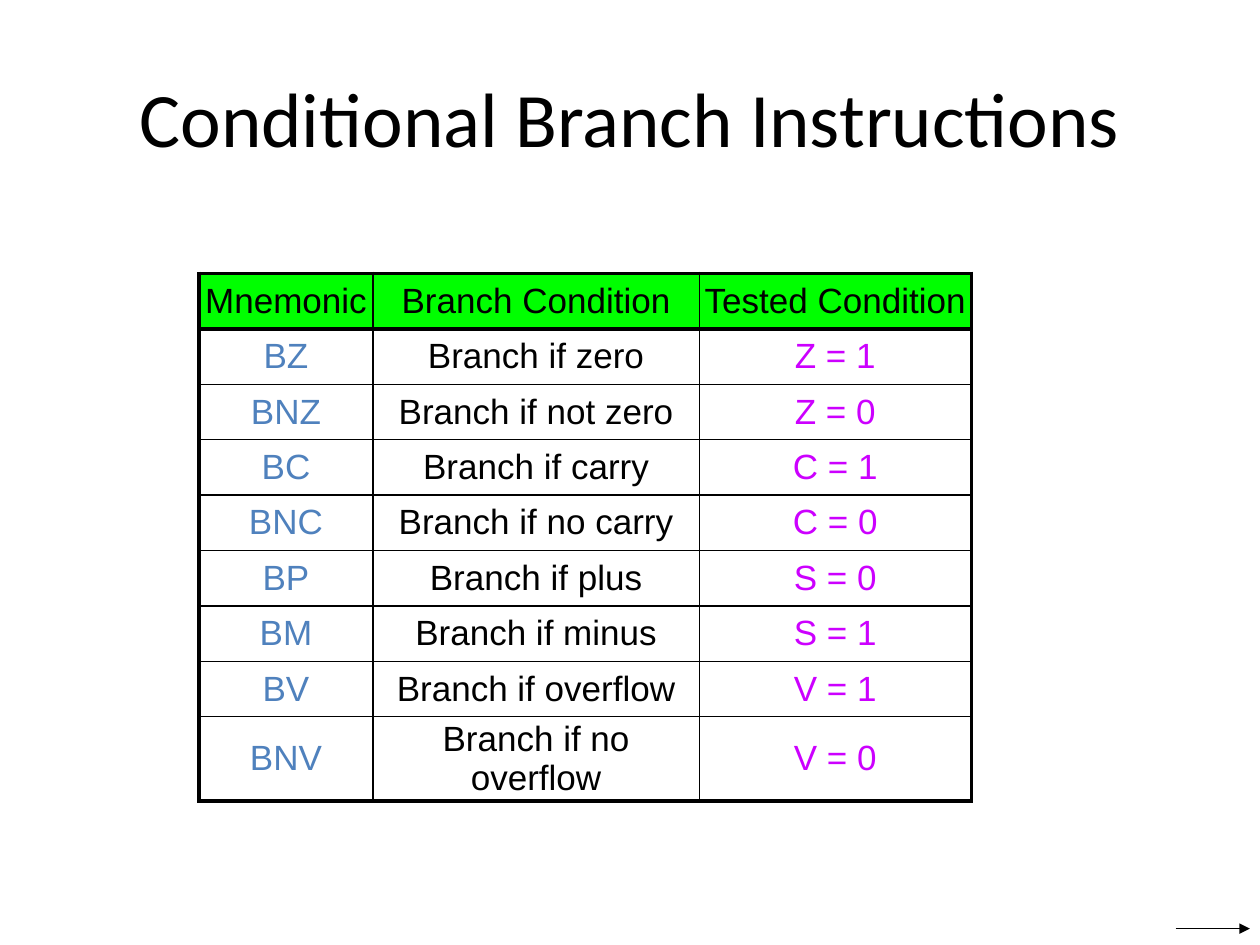
from lxml import etree
from pptx import Presentation
from pptx.dml.color import RGBColor
from pptx.enum.shapes import MSO_CONNECTOR
from pptx.enum.text import MSO_ANCHOR, PP_ALIGN
from pptx.oxml.ns import qn
from pptx.util import Inches, Pt

CENTER = PP_ALIGN.CENTER
MIDDLE = MSO_ANCHOR.MIDDLE
STRAIGHT = MSO_CONNECTOR.STRAIGHT

HEADINGS = ("Mnemonic", "Branch Condition", "Tested Condition")
BRANCHES = [
    ("BZ", "Branch if zero", "Z = 1"),
    ("BNZ", "Branch if not zero", "Z = 0"),
    ("BC", "Branch if carry", "C = 1"),
    ("BNC", "Branch if no carry", "C = 0"),
    ("BP", "Branch if plus", "S = 0"),
    ("BM", "Branch if minus", "S = 1"),
    ("BV", "Branch if overflow", "V = 1"),
    ("BNV", "Branch if no overflow", "V = 0"),
]
COLUMN_WIDTHS = (1.38, 2.59, 2.16)
ROW_HEIGHT = 0.44


def rgb(value):
    return RGBColor.from_string(value)


class SlideBuilder:
    BLACK = "000000"
    HEADER_FILL = "00FF00"
    COLUMN_COLORS = ("4F81BD", "000000", "CC00FF")
    THICK, THIN = 2.25, 1

    def __init__(self, slide):
        self.slide = slide

    def centered_text(self, frame, text, font, size, color):
        frame.text = text
        paragraph = frame.paragraphs[0]
        paragraph.alignment = CENTER
        style = paragraph.runs[0].font
        style.name, style.size = font, Pt(size)
        style.color.rgb = rgb(color)

    def title(self, text, left, top, width, height):
        box = self.slide.shapes.add_textbox(
            Inches(left), Inches(top), Inches(width), Inches(height))
        frame = box.text_frame
        frame.word_wrap = True
        frame.vertical_anchor = MIDDLE
        self.centered_text(frame, text, "Calibri", 44, self.BLACK)

    def borders(self, cell, widths):
        properties = cell._tc.get_or_add_tcPr()
        for position, (side, width) in enumerate(zip("LRTB", widths)):
            line = etree.Element(qn(f"a:ln{side}"), w=str(Pt(width)))
            fill = etree.SubElement(line, qn("a:solidFill"))
            etree.SubElement(fill, qn("a:srgbClr"), val=self.BLACK)
            properties.insert(position, line)

    def cell(self, cell, text, color, fill, widths):
        cell.margin_left = cell.margin_right = 0
        cell.margin_top = cell.margin_bottom = 0
        cell.vertical_anchor = MIDDLE
        self.centered_text(cell.text_frame, text, "Arial", 20, color)
        if fill:
            cell.fill.solid()
            cell.fill.fore_color.rgb = rgb(fill)
        else:
            cell.fill.background()
        self.borders(cell, widths)

    def table(self, rows, left, top, column_widths, row_height):
        last_row, last_column = len(rows) - 1, len(column_widths) - 1
        table = self.slide.shapes.add_table(
            len(rows), len(column_widths), Inches(left), Inches(top),
            Inches(sum(column_widths)), Inches(row_height * len(rows))).table
        table.first_row = table.horz_banding = False
        for column, width in zip(table.columns, column_widths):
            column.width = Inches(width)
        for r, texts in enumerate(rows):
            table.rows[r].height = Inches(row_height)
            for c, text in enumerate(texts):
                # Thick lines frame the table and underline the header
                thick = (c == 0, c == last_column, r <= 1, r in (0, last_row))
                widths = [self.THICK if t else self.THIN for t in thick]
                color = self.COLUMN_COLORS[c] if r else self.BLACK
                fill = None if r else self.HEADER_FILL
                self.cell(table.cell(r, c), text, color, fill, widths)

    def arrow(self, x1, y1, x2, y2):
        arrow = self.slide.shapes.add_connector(
            STRAIGHT, Inches(x1), Inches(y1), Inches(x2), Inches(y2))
        arrow.line.color.rgb = rgb(self.BLACK)
        arrow.line.width = Pt(0.75)
        properties = arrow._element.spPr
        etree.SubElement(properties.find(qn("a:ln")), qn("a:tailEnd"),
                         type="triangle")
        etree.SubElement(properties, qn("a:effectLst"))


def main():
    deck = Presentation()
    deck.slide_width, deck.slide_height = Inches(10), Inches(7.5)
    builder = SlideBuilder(deck.slides.add_slide(deck.slide_layouts[6]))

    # Title
    builder.title("Conditional Branch Instructions", 0.5, 0.3, 9, 1.25)

    # Branch instruction table
    builder.table([HEADINGS, *BRANCHES], 1.58, 2.17, COLUMN_WIDTHS, ROW_HEIGHT)

    # Arrow in the bottom corner
    builder.arrow(9.33, 7.37, 9.92, 7.37)

    deck.save("out.pptx")


if __name__ == "__main__":
    main()
